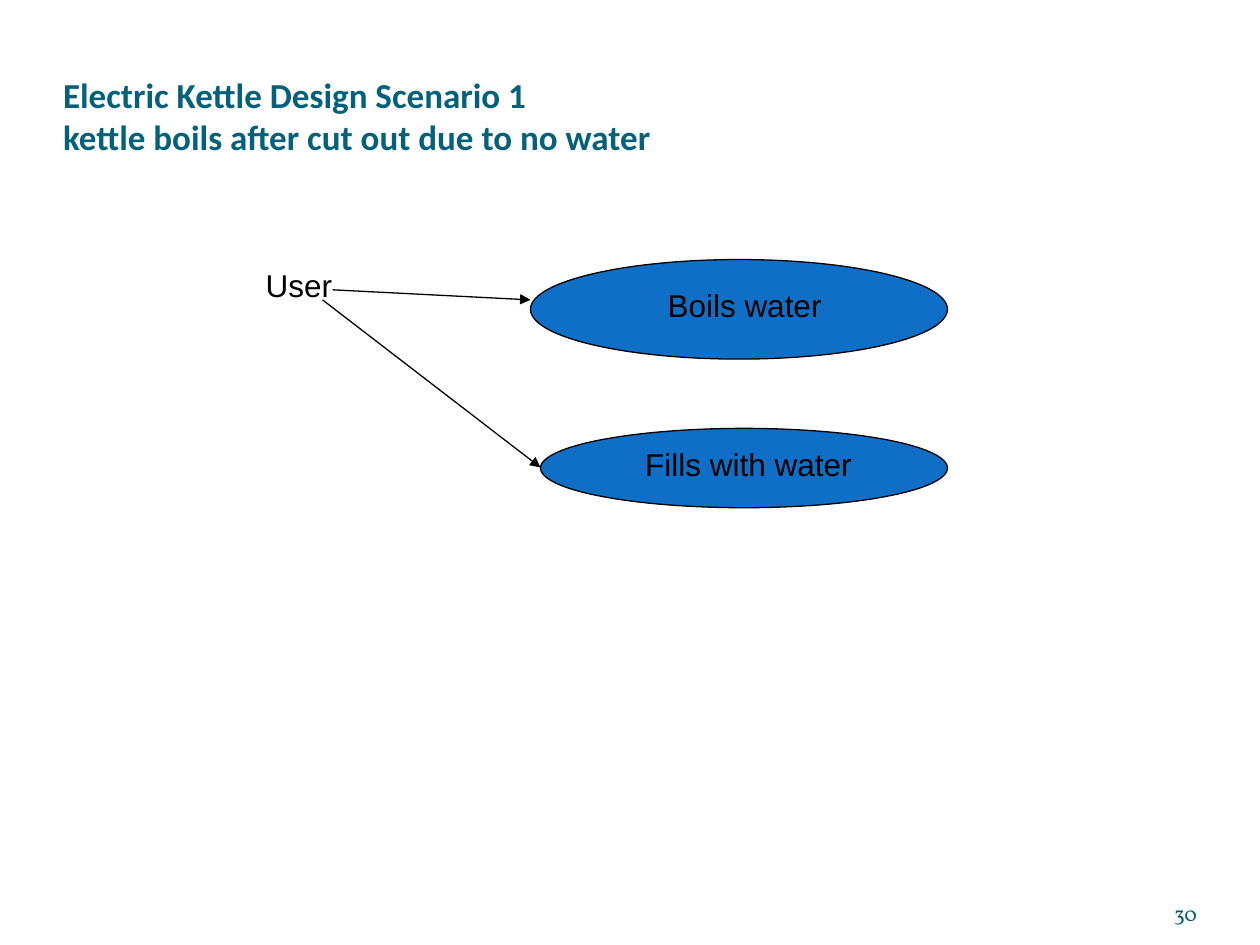
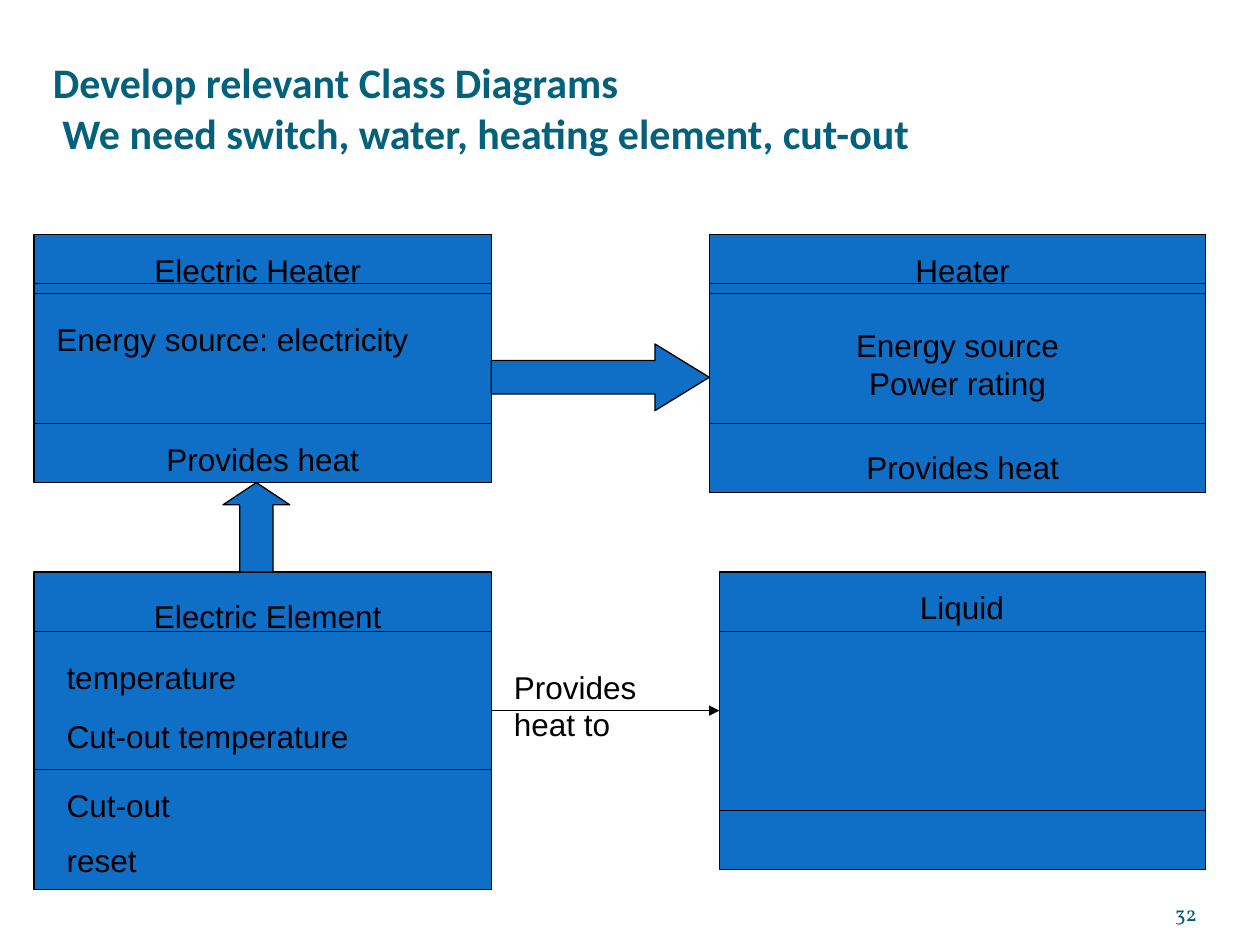
"""Build two slides on the design of an electric kettle."""
from lxml import etree
from pptx import Presentation
from pptx import util as u
from pptx.dml.color import RGBColor
from pptx.enum import shapes, text
from pptx.oxml.ns import qn

TITLE_COLOR = RGBColor(0x04, 0x61, 0x7B)
NUMBER_COLOR = RGBColor(0x04, 0x5D, 0x75)
BLUE = RGBColor(0x0F, 0x6F, 0xC6)
BLACK = RGBColor(0, 0, 0)

SHAPE = shapes.MSO_SHAPE
LEFT, CENTER, RIGHT = text.PP_ALIGN.LEFT, text.PP_ALIGN.CENTER, text.PP_ALIGN.RIGHT
TOP, MIDDLE, BOTTOM = (text.MSO_ANCHOR.TOP, text.MSO_ANCHOR.MIDDLE,
                       text.MSO_ANCHOR.BOTTOM)
LINE_WIDTH = u.Pt(0.75)


def write(sp, paragraphs, size=18, font="Arial", color=BLACK, bold=False,
          align=LEFT, anchor=TOP, wrap=True, margins=(0.1, 0.05, 0.1, 0.05),
          gap=10):
    """Fill a shape with formatted paragraphs; gap separates them in points."""
    tf = sp.text_frame
    tf.word_wrap = wrap
    tf.vertical_anchor = anchor
    (tf.margin_left, tf.margin_top,
     tf.margin_right, tf.margin_bottom) = map(u.Inches, margins)
    for i, line in enumerate(paragraphs):
        p = tf.add_paragraph() if i else tf.paragraphs[0]
        p.text = line
        p.alignment = align
        if i:
            p.space_before = u.Pt(gap)
        for r in p.runs:
            r.font.size = u.Pt(size)
            r.font.name = font
            r.font.bold = bold
            r.font.color.rgb = color


def add_label(s, box, *paragraphs, **style):
    """Add a text box at (left, top, width, height)."""
    sp = s.shapes.add_textbox(*map(u.Inches, box))
    write(sp, paragraphs, **style)


def add_block(s, kind, box, adjustments=()):
    """Add a blue preset shape with a thin black outline."""
    sp = s.shapes.add_shape(kind, *map(u.Inches, box))
    sp.shadow.inherit = False
    sp.fill.solid()
    sp.fill.fore_color.rgb = BLUE
    sp.line.color.rgb = BLACK
    sp.line.width = LINE_WIDTH
    for i, value in enumerate(adjustments):
        sp.adjustments[i] = value
    return sp


def add_line(s, start, end, arrow=False):
    """Draw a thin black line, with an arrowhead at its end on request."""
    line = s.shapes.add_connector(shapes.MSO_CONNECTOR.STRAIGHT,
                                  *map(u.Inches, (*start, *end)))
    line.line.color.rgb = BLACK
    line.line.width = LINE_WIDTH
    props = line._element.spPr
    if arrow:
        etree.SubElement(props.find(qn("a:ln")), qn("a:tailEnd"), type="triangle")
    etree.SubElement(props, qn("a:effectLst"))


def add_class(s, box, rules):
    """Draw a class box divided by horizontal rules at the given heights."""
    left, _, width, _ = box
    sp = add_block(s, SHAPE.RECTANGLE, box)
    for y in rules:
        add_line(s, (left, y), (left + width, y))
    return sp


def add_use_case(s, ellipse, label_box, label, start, end):
    """Draw a labelled use case and the arrow that leads to it."""
    add_block(s, SHAPE.OVAL, ellipse)
    add_label(s, label_box, label, align=CENTER)
    add_line(s, start, end, arrow=True)


def add_slide(prs, title, number, left, size):
    """Add a blank slide with the shared title and slide number."""
    s = prs.slides.add_slide(prs.slide_layouts[6])
    add_label(s, (left, 0, 9.08, 1.25), title, size=size, font="Calibri",
              color=TITLE_COLOR, bold=True, anchor=BOTTOM, margins=(0, 0.05, 0, 0))
    add_label(s, (8.67, 6.95, 0.83, 0.4), number, size=12, font="Vollkorn",
              color=NUMBER_COLOR, align=RIGHT, anchor=BOTTOM, margins=(0, 0, 0, 0))
    return s


def build_scenario(prs):
    """Build the use case diagram."""
    s = add_slide(prs, "Electric Kettle Design Scenario 1\v"
                  "kettle boils after cut out due to no water", "30", 0.5, 20)
    add_label(s, (2.01, 2.06, 1.58, 0.4), "User")
    add_use_case(s, (4.21, 2.06, 3.31, 0.79), (4.53, 2.22, 2.76, 0.4),
                 "Boils water", (2.64, 2.3), (4.21, 2.38))
    add_use_case(s, (4.29, 3.4, 3.23, 0.63), (4.68, 3.48, 2.52, 0.4),
                 "Fills with water", (2.56, 2.38), (4.29, 3.71))


def build_classes(prs):
    """Build the class diagram."""
    s = add_slide(prs, "Develop relevant Class Diagrams\v"
                  " We need switch, water, heating element, cut-out", "32", 0.42, 24)
    heater_rules = (2.25, 2.33, 3.36)
    add_class(s, (0.27, 1.86, 3.63, 1.97), heater_rules)
    heater = add_class(s, (5.63, 1.86, 3.94, 2.05), heater_rules)
    write(heater, ("Energy source", "Power rating"), align=CENTER,
          anchor=MIDDLE, wrap=False, gap=0)
    add_class(s, (0.27, 4.54, 3.63, 2.52), (5.01, 6.11))
    add_class(s, (5.71, 4.54, 3.86, 2.36), (5.01, 6.43))

    add_block(s, SHAPE.RIGHT_ARROW, (3.9, 2.73, 1.73, 0.53), (0.5, 0.815))
    add_block(s, SHAPE.UP_ARROW, (1.77, 3.83, 0.53, 0.71), (0.5, 0.333))
    add_line(s, (3.9, 5.64), (5.71, 5.64), arrow=True)

    for box, label in (
        ((0.27, 1.94, 3.55, 0.4), "Electric Heater"),
        ((0.35, 3.44, 3.47, 0.4), "Provides heat"),
        ((5.79, 1.94, 3.7, 0.4), "Heater"),
        ((5.87, 3.51, 3.54, 0.4), "Provides heat"),
        ((0.43, 4.69, 3.39, 0.4), "Electric Element"),
        ((6.02, 4.62, 3.23, 0.4), "Liquid"),
    ):
        add_label(s, box, label, align=CENTER)
    add_label(s, (0.35, 2.49, 3.47, 0.85), "Energy source: electricity")
    add_label(s, (3.98, 5.25, 1.58, 0.7), "Provides heat to")
    add_label(s, (0.43, 5.17, 3.47, 0.4), "temperature")
    add_label(s, (0.43, 5.64, 3.31, 0.4), "Cut-out temperature")
    add_label(s, (0.43, 6.19, 3.39, 0.85), "Cut-out", "reset")


def main():
    """Build and save the presentation."""
    prs = Presentation()
    prs.slide_width, prs.slide_height = u.Inches(10), u.Inches(7.5)
    build_scenario(prs)
    build_classes(prs)
    prs.save("out.pptx")


if __name__ == "__main__":
    main()
